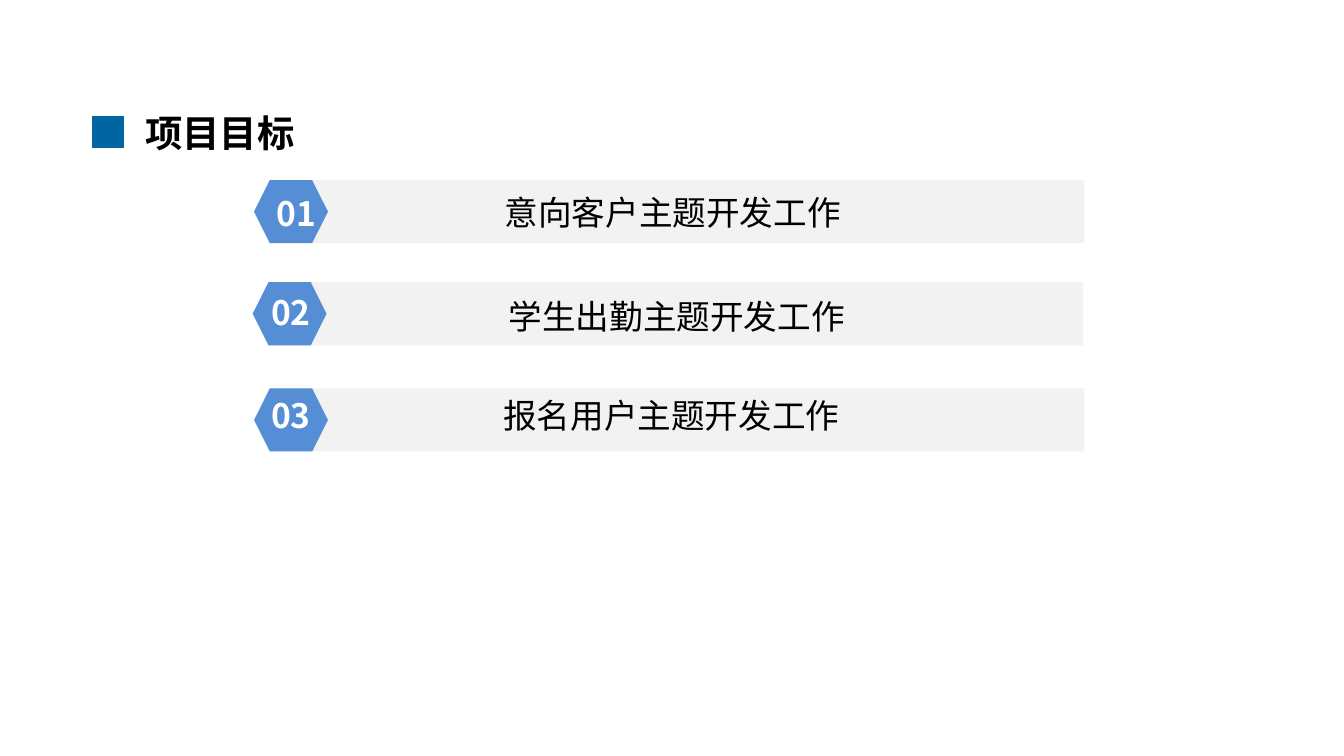
from pptx import Presentation
from pptx.dml.color import RGBColor
from pptx.enum.shapes import MSO_SHAPE as SHAPE
from pptx.enum.text import MSO_ANCHOR, MSO_AUTO_SIZE, PP_ALIGN
from pptx.oxml.ns import qn
from pptx.util import Inches, Pt
from lxml import etree

FONT = "Noto Sans CJK SC"
BLACK, WHITE, NAVY, BLUE, GREY = "000000", "FFFFFF", "0066A1", "558ED5", "F2F2F2"

TITLE = "项目目标"
# number, goal, hexagon (left, top), number (left, top), goal text (left, top)
GOALS = [
    ("01", "意向客户主题开发工作", (1.89, 1.34), (1.93, 1.39), (2.8, 1.38)),
    ("02", "学生出勤主题开发工作", (1.88, 2.1), (1.89, 2.12), (2.83, 2.15)),
    ("03", "报名用户主题开发工作", (1.89, 2.89), (1.89, 2.89), (2.79, 2.89)),
]
SLIDE_W = 10
ROW_H, HEX_W, BAR_W, BAR_DX = 0.47, 0.55, 6.06, 0.12
GOAL_W, TEXT_H = 4.41, 0.4
MARK_LEFT, MARK_TOP, MARK_SIZE = 0.69, 0.87, 0.23


def rgb(color):
    return RGBColor.from_string(color)


def add_block(s, kind, x, y, w, h, fill, outlined=False):
    sp = s.shapes.add_shape(kind, Inches(x), Inches(y), Inches(w), Inches(h))
    sp.shadow.inherit = False
    sp.fill.solid()
    sp.fill.fore_color.rgb = rgb(fill)
    if outlined:
        sp.line.color.rgb = rgb(fill)
        sp.line.width = Pt(0.5)
    else:
        sp.line.fill.background()


def write(sp, text, size, color, bold=False, align=PP_ALIGN.CENTER):
    tf = sp.text_frame
    tf.word_wrap = True
    tf.auto_size = MSO_AUTO_SIZE.NONE
    tf.vertical_anchor = MSO_ANCHOR.TOP
    p = tf.paragraphs[0]
    p.text = text
    p.alignment = align
    font = p.font
    font.name, font.size, font.bold = FONT, Pt(size), bold
    font.color.rgb = rgb(color)
    # Chinese characters take the East Asian typeface
    r_pr = p.runs[0].font._element
    etree.SubElement(r_pr, qn("a:ea"), typeface=FONT)


def add_label(s, x, y, w, text, color, bold=False):
    sp = s.shapes.add_textbox(Inches(x), Inches(y), Inches(w), Inches(TEXT_H))
    write(sp, text, 18, color, bold)


def main():
    prs = Presentation()
    prs.slide_width, prs.slide_height = Inches(SLIDE_W), Inches(SLIDE_W * 9 / 16)
    s = prs.slides.add_slide(prs.slide_layouts[5])

    title = s.shapes.title
    title.left, title.top = Inches(0.98), Inches(0.77)
    title.width, title.height = Inches(6.54), Inches(0.44)
    write(title, TITLE, 20, BLACK, bold=True, align=PP_ALIGN.LEFT)

    tile = MARK_SIZE / 2
    for row in range(2):
        for col in range(2):
            add_block(s, SHAPE.RECTANGLE, MARK_LEFT + col * tile,
                      MARK_TOP + row * tile, tile, tile, NAVY, outlined=True)

    for number, goal, (x, y), number_at, goal_at in GOALS:
        add_block(s, SHAPE.RECTANGLE, x + BAR_DX, y, BAR_W, ROW_H, GREY)
        add_block(s, SHAPE.HEXAGON, x, y, HEX_W, ROW_H, BLUE)
        add_label(s, *number_at, HEX_W, number, WHITE, bold=True)
        add_label(s, *goal_at, GOAL_W, goal, BLACK)

    prs.save("out.pptx")


if __name__ == "__main__":
    main()
